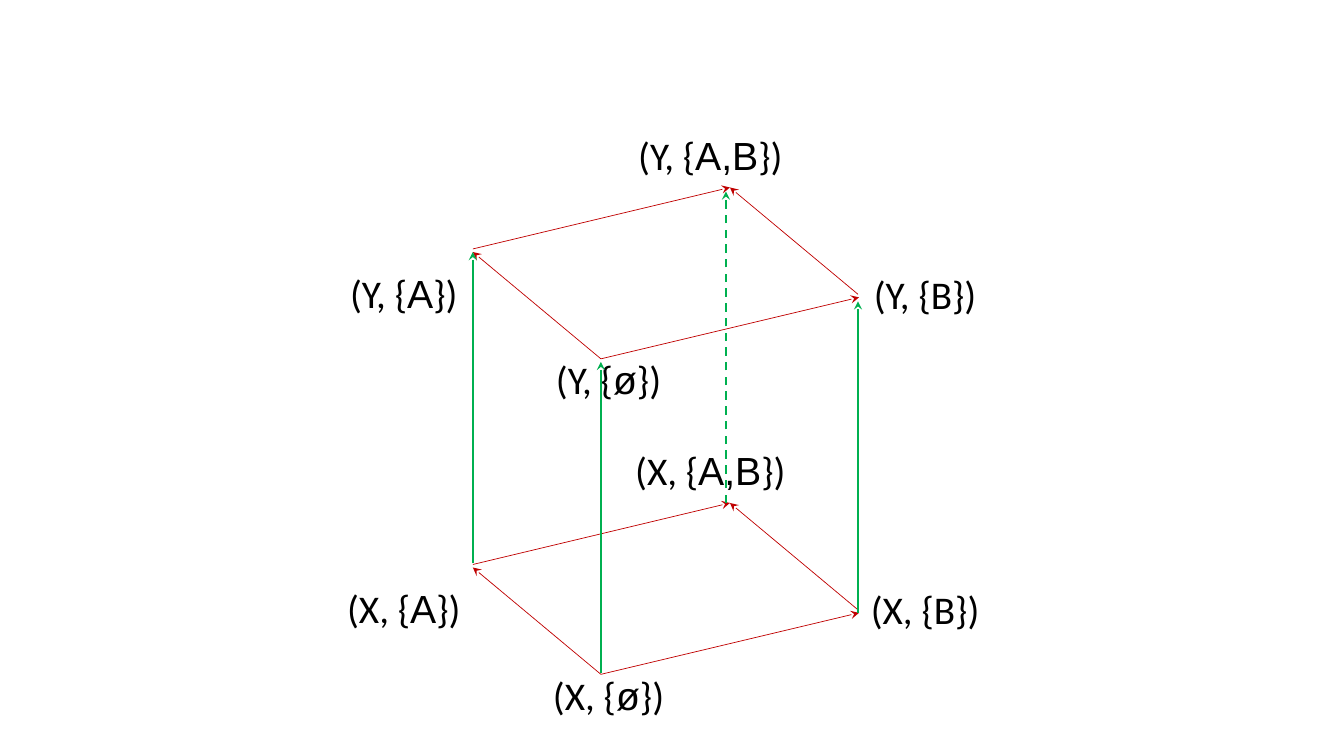
import pptx
import pptx.dml.color
import pptx.enum.dml
import pptx.enum.shapes
import pptx.enum.text
import pptx.oxml
import pptx.oxml.ns
import pptx.util

Inches = pptx.util.Inches
Pt = pptx.util.Pt
theme = {
    "ink": "000000", "red": "C00000", "green": "00B050",
    "size": 28, "thin": 0.5, "thick": 1.5,
    "main": "Calibri", "alt": "Arial",
}


def label(text, group, left, top, width, inner, font):
    box = group.shapes.add_textbox(Inches(left), Inches(top), Inches(width), Inches(0.57))
    frame = box.text_frame
    frame.word_wrap = True
    frame.auto_size = pptx.enum.text.MSO_AUTO_SIZE.SHAPE_TO_FIT_TEXT
    para = frame.paragraphs[0]
    para.alignment = pptx.enum.text.PP_ALIGN.CENTER
    for part, face in ((f"({text}, {{", theme["main"]), (inner, font), ("})", theme["main"])):
        run = para.add_run()
        run.text = part
        run.font.name = face
        run.font.size = Pt(theme["size"])
        run.font.color.rgb = pptx.dml.color.RGBColor.from_string(theme["ink"])


def arrow(group, start, end, color, width, dash=False):
    kind = pptx.enum.shapes.MSO_CONNECTOR.STRAIGHT
    line = group.shapes.add_connector(kind, *[Inches(n) for n in start + end])
    line.line.color.rgb = pptx.dml.color.RGBColor.from_string(color)
    line.line.width = Pt(width)
    if dash:
        line.line.dash_style = pptx.enum.dml.MSO_LINE.DASH
    tip = pptx.oxml.parse_xml(f'<a:tailEnd {pptx.oxml.ns.nsdecls("a")} type="stealth"/>')
    line.line._get_or_add_ln().append(tip)
    flat = pptx.oxml.parse_xml(f'<a:effectLst {pptx.oxml.ns.nsdecls("a")}/>')
    line._element.spPr.append(flat)


deck = pptx.Presentation()
deck.slide_width = Inches(13.33)
deck.slide_height = Inches(7.5)
slide = deck.slides.add_slide(deck.slide_layouts[6])

corners = [
    ("B", theme["main"], 8.38, 2.63, 1.59),
    ("ø", theme["alt"], 5.24, 3.48, 1.59),
    ("A", theme["alt"], 3.21, 2.62, 1.59),
    ("A,B", theme["alt"], 6.04, 1.25, 2.01),
]
edges = [
    ((5.96, 3.56), (8.52, 2.95)),
    ((5.96, 3.56), (4.69, 2.5)),
    ((4.69, 2.47), (7.24, 1.86)),
    ((8.51, 2.92), (7.24, 1.86)),
]
for name, drop in (("X", 3.13), ("Y", 0)):
    face = slide.shapes.add_group_shape()
    for inner, font, left, top, width in corners:
        label(name, group=face, left=left, top=top + drop, width=width, inner=inner, font=font)
    for (x1, y1), (x2, y2) in edges:
        arrow(face, (x1, y1 + drop), (x2, y2 + drop), theme["red"], theme["thin"])

rise = 3.09
posts = slide.shapes.add_group_shape()
for x, y, dash in ((4.69, 5.59, False), (5.96, 6.68, False), (8.51, 6.08, False), (7.2, 4.99, True)):
    arrow(posts, (x, y), (x, y - rise), theme["green"], theme["thick"], dash)

deck.save("out.pptx")
